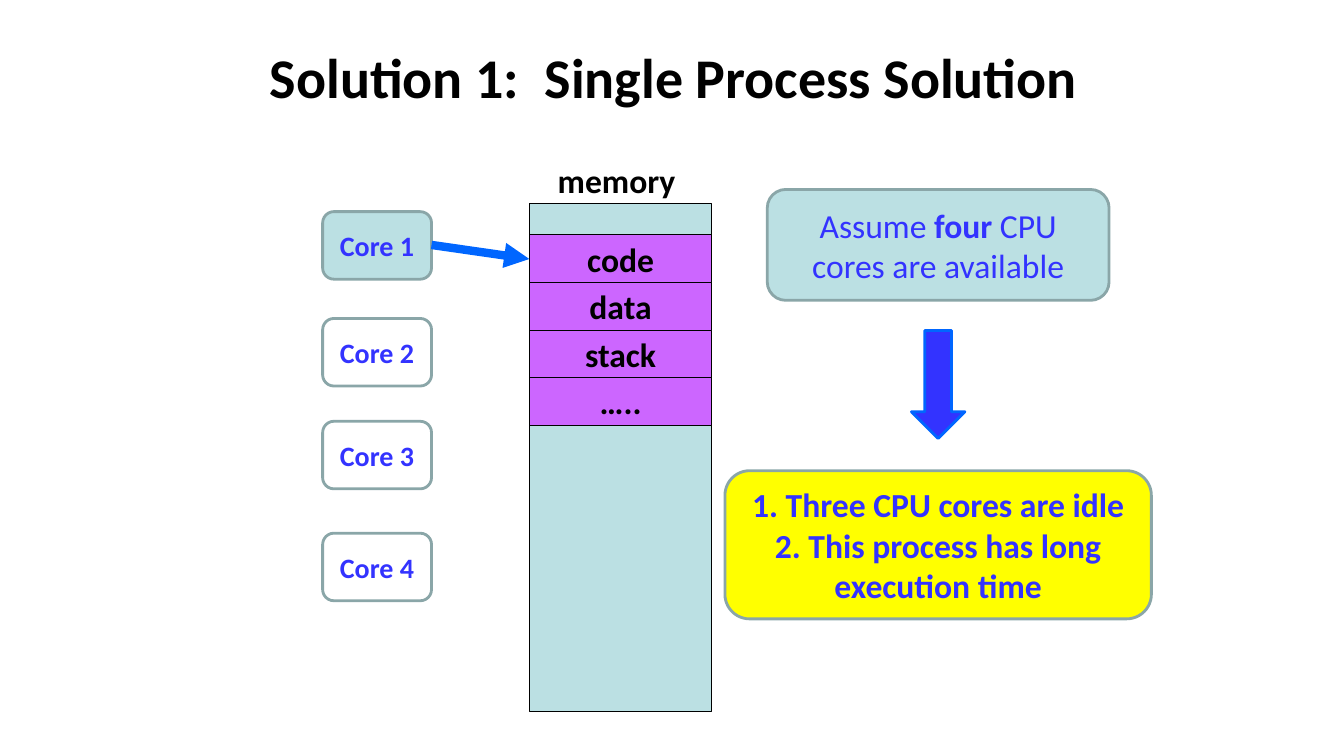
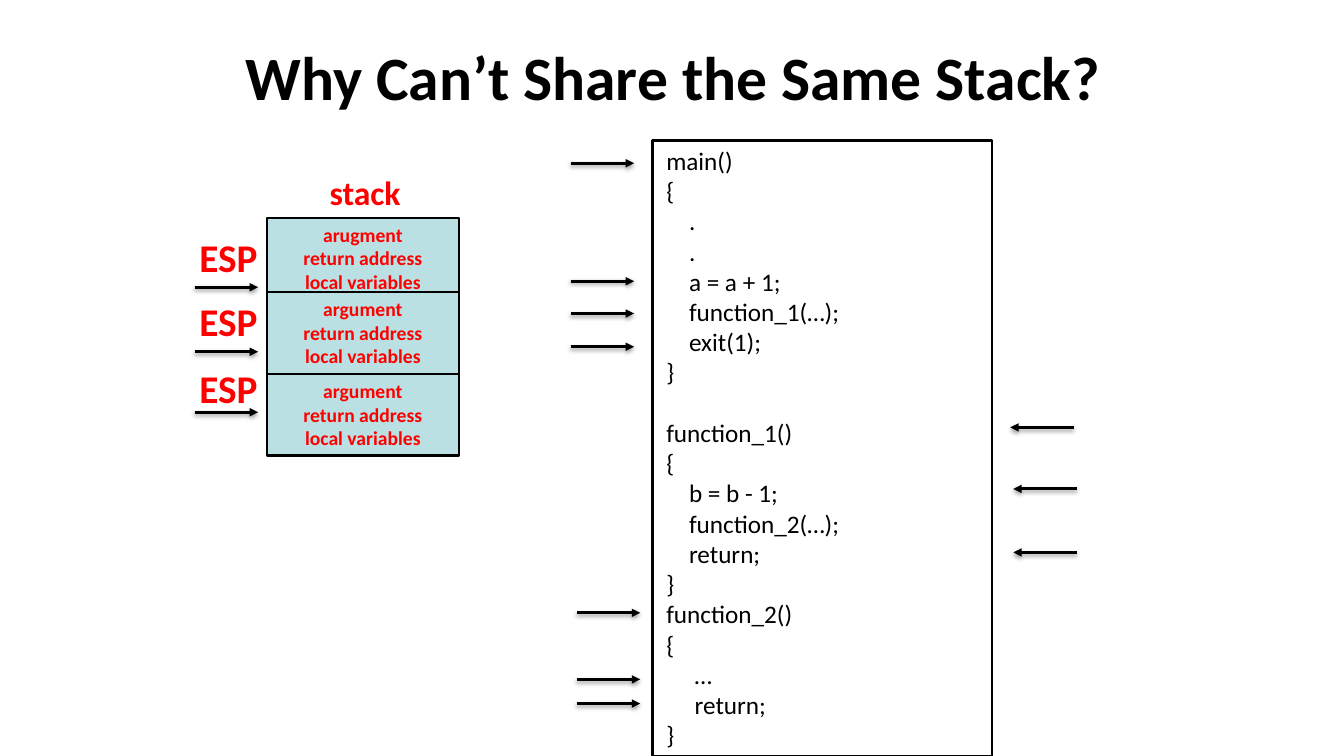
"""Build two slides on processes, CPU cores and stacks."""
from lxml import etree
from pptx import Presentation
from pptx.dml.color import RGBColor
from pptx.enum.shapes import MSO_CONNECTOR, MSO_SHAPE
from pptx.enum.text import MSO_ANCHOR, MSO_AUTO_SIZE, PP_ALIGN
from pptx.oxml import parse_xml
from pptx.oxml.ns import nsdecls, qn
from pptx.util import Inches, Pt

FONT = "Calibri"
COLORS = {
    "black": "000000",
    "white": "FFFFFF",
    "teal": "BBE0E3",
    "border": "8AA6A8",
    "purple": "CC66FF",
    "yellow": "FFFF00",
    "blue": "3333FF",
    "arrow": "0066FF",
    "red": "FF0000",
}
CODE = """main()
{
    .
    .
    a = a + 1;
    function_1(…);
    exit(1);
}

function_1()
{
    b = b - 1;
    function_2(…);
    return;
}
function_2()
{
     …
     return;
}"""


def write(shape, text="", *, size=24, color="black", bold=True, align=PP_ALIGN.CENTER,
          anchor=MSO_ANCHOR.MIDDLE, fit=MSO_AUTO_SIZE.NONE, fill=None, line=None, width=2):
    """Style a shape and fill it with text; asterisks switch the weight."""
    if fill:
        shape.fill.solid()
        shape.fill.fore_color.rgb = RGBColor.from_string(COLORS[fill])
    else:
        shape.fill.background()
    if line:
        shape.shadow.inherit = False
        shape.line.color.rgb = RGBColor.from_string(COLORS[line])
        shape.line.width = Pt(width)
    frame = shape.text_frame
    frame.word_wrap = True
    frame.auto_size = fit
    frame.vertical_anchor = anchor
    for number, row in enumerate(text.split("\n")):
        paragraph = frame.add_paragraph() if number else frame.paragraphs[0]
        paragraph.alignment = align
        for index, piece in enumerate(row.split("*")):
            run = paragraph.add_run()
            run.text = piece
            run.font.name = FONT
            run.font.size = Pt(size)
            run.font.bold = bold != (index % 2 == 1)
            run.font.color.rgb = RGBColor.from_string(COLORS[color])


def draw_arrow(slide, start, end, *, color="black", width=2, shadow=True):
    """Draw a straight line with an arrowhead at its end."""
    arrow = slide.shapes.add_connector(
        MSO_CONNECTOR.STRAIGHT, *map(Inches, (*start, *end)))
    arrow.line.color.rgb = RGBColor.from_string(COLORS[color])
    arrow.line.width = Pt(width)
    properties = arrow._element.spPr
    etree.SubElement(properties.find(qn("a:ln")), qn("a:tailEnd"), type="triangle")
    cast = (
        f'<a:outerShdw blurRad="{Pt(3.1)}" dist="{Pt(1.6)}" dir="5400000" rotWithShape="0">'
        f'<a:srgbClr val="{COLORS["black"]}"><a:alpha val="38000"/></a:srgbClr></a:outerShdw>'
    ) if shadow else ""
    properties.append(parse_xml(f'<a:effectLst {nsdecls("a")}>{cast}</a:effectLst>'))


presentation = Presentation()
presentation.slide_width = Inches(13.33)
presentation.slide_height = Inches(7.5)

slides = []
for title_text, title_size in [("Solution 1:  Single Process Solution", 40),
                               ("Why Can’t Share the Same Stack?", 44)]:
    slide = presentation.slides.add_slide(presentation.slide_layouts[5])
    title = slide.shapes.title
    title.left, title.top, title.width, title.height = map(Inches, (0.68, 0.13, 12, 1.25))
    write(title, title_text, size=title_size)
    slides.append(slide)
process_slide, stack_slide = slides

shapes = process_slide.shapes
memory = shapes.add_shape(MSO_SHAPE.RECTANGLE, *map(Inches, (5.25, 2.02, 1.81, 5.04)))
write(memory, fill="teal", line="black", width=0.75)
memory_label = shapes.add_textbox(*map(Inches, (5.25, 1.54, 1.73, 0.5)))
write(memory_label, "memory", anchor=MSO_ANCHOR.TOP)

segments = ["code", "data", "stack", "….."]
segment_height = 1.89 / len(segments)
for index, name in enumerate(segments):
    segment = shapes.add_shape(MSO_SHAPE.RECTANGLE, *map(
        Inches, (5.25, 2.33 + index * segment_height, 1.81, segment_height)))
    write(segment, name, fill="purple", line="black", width=0.75)

for number, top in enumerate([2.1, 3.16, 4.18, 5.29], start=1):
    core = shapes.add_shape(
        MSO_SHAPE.FLOWCHART_ALTERNATE_PROCESS, *map(Inches, (3.2, top, 1.08, 0.67)))
    write(core, f"Core {number}", size=20, color="blue",
          fill="teal" if number == 1 else None, line="border")
draw_arrow(process_slide, (4.28, 2.43), (5.25, 2.57), color="arrow", width=6, shadow=False)

for box, text, fill, bold in [
    ((7.61, 1.88, 3.39, 1.1), "Assume *four* CPU cores are available", "teal", False),
    ((7.19, 4.67, 4.23, 1.47),
     "1. Three CPU cores are idle\n2. This process has long execution time", "yellow", True),
]:
    note = shapes.add_shape(MSO_SHAPE.FLOWCHART_ALTERNATE_PROCESS, *map(Inches, box))
    write(note, text, color="blue", bold=bold, fill=fill, line="border")
down_arrow = shapes.add_shape(MSO_SHAPE.DOWN_ARROW, *map(Inches, (9.04, 3.28, 0.53, 1.07)))
write(down_arrow, fill="blue", line="arrow")

shapes = stack_slide.shapes
code_frame = shapes.add_shape(MSO_SHAPE.RECTANGLE, *map(Inches, (6.47, 1.39, 3.37, 6.11)))
write(code_frame, fill="white", line="black")
code_box = shapes.add_textbox(*map(Inches, (6.51, 1.39, 3.31, 6.11)))
write(code_box, CODE, size=18, bold=False, align=PP_ALIGN.LEFT, anchor=MSO_ANCHOR.TOP,
      fit=MSO_AUTO_SIZE.SHAPE_TO_FIT_TEXT)

stack_label = shapes.add_textbox(*map(Inches, (3.17, 1.66, 0.94, 0.5)))
write(stack_label, "stack", color="red", align=PP_ALIGN.LEFT, anchor=MSO_ANCHOR.TOP)
for top, first_word, width in [(2.16, "arugment", 1.25), (2.9, "argument", 1.5),
                               (3.71, "argument", 1.5)]:
    stack_frame = shapes.add_shape(MSO_SHAPE.RECTANGLE, *map(Inches, (2.65, top, 1.9, 0.81)))
    write(stack_frame, f"{first_word}\nreturn address\nlocal variables", size=14, color="red",
          anchor=MSO_ANCHOR.TOP, fill="teal", line="black", width=width)

for top in [2.27, 2.9, 3.57]:
    pointer_label = shapes.add_textbox(*map(Inches, (1.88, top, 1.02, 0.57)))
    write(pointer_label, "ESP", size=28, color="red", align=PP_ALIGN.LEFT,
          anchor=MSO_ANCHOR.TOP)

arrow_length = 0.63
for start, direction, heights in [
    (1.93, 1, [2.85, 3.49, 4.09]),
    (5.66, 1, [1.62, 2.79, 3.11, 3.44]),
    (5.72, 1, [6.08, 6.74, 6.98]),
    (10.65, -1, [4.24]),
    (10.68, -1, [4.85, 5.48]),
]:
    for height in heights:
        draw_arrow(stack_slide, (start, height), (start + direction * arrow_length, height))

presentation.save("out.pptx")
